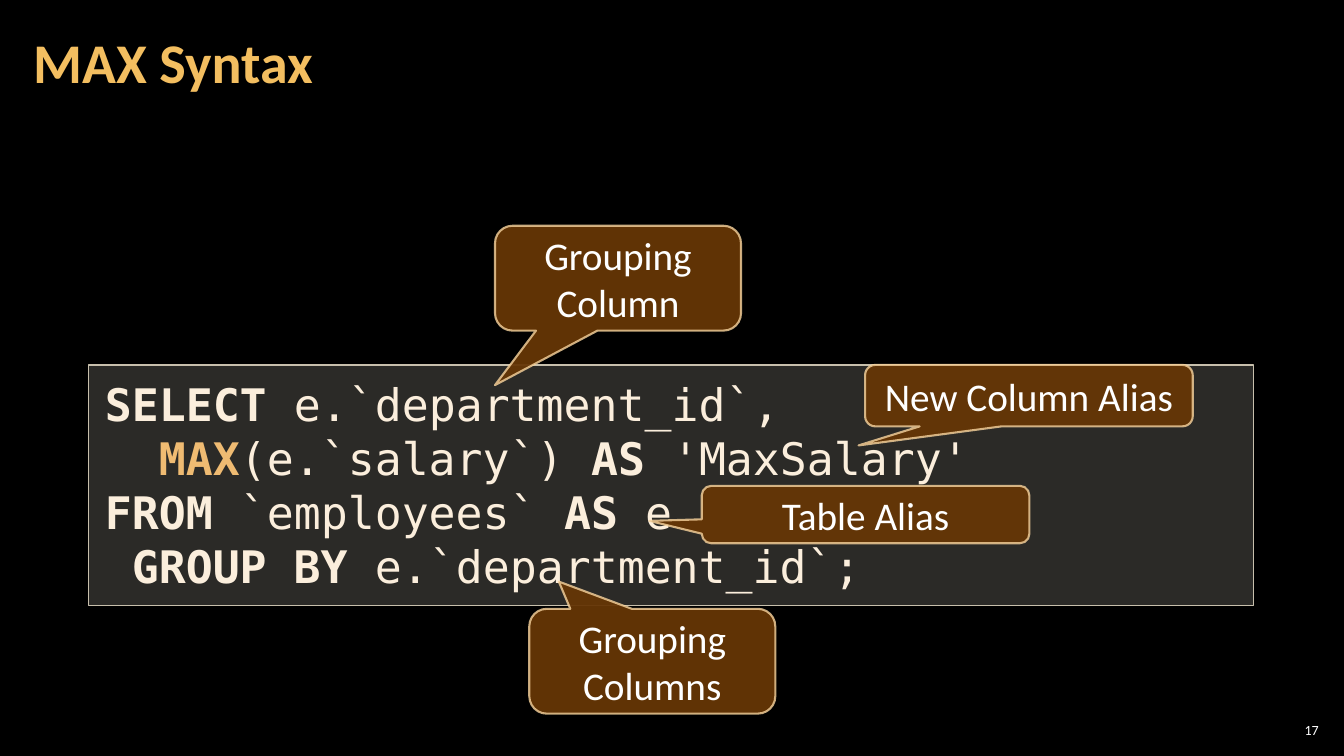
from lxml.etree import SubElement
from pptx import Presentation
from pptx.dml.color import RGBColor
from pptx.enum.shapes import MSO_SHAPE as SHAPE
from pptx.enum.text import MSO_ANCHOR as ANCHOR, PP_ALIGN as ALIGN
from pptx.oxml.ns import qn
from pptx.util import Inches, Pt

CREAM = "FBEEDC"
AMBER = "EFBB72"


def rgb(value):
    return RGBColor.from_string(value)


def paint(shape, fill, fill_opacity, line, line_width, line_opacity=100):
    """Set fill and outline, with opacities in percent."""
    shape.shadow.inherit = False
    shape.fill.solid()
    shape.fill.fore_color.rgb = rgb(fill)
    shape.line.color.rgb = rgb(line)
    shape.line.width = Pt(line_width)
    colors = shape._element.spPr.iter(qn("a:srgbClr"))
    for color, opacity in zip(list(colors), (fill_opacity, line_opacity)):
        if opacity < 100:
            SubElement(color, qn("a:alpha")).set("val", str(opacity * 1000))


prs = Presentation()
prs.slide_width, prs.slide_height = Inches(13.33), Inches(7.5)
slide = prs.slides.add_slide(prs.slide_layouts[6])
slide.background.fill.solid()
slide.background.fill.fore_color.rgb = rgb("000000")

# SQL statement: each paragraph is a list of lines, each line a list of (text, bold, color)
query = [
    [
        [("SELECT ", True, CREAM), ("e.`department_id`,", False, CREAM)],
        [("  ", False, CREAM), ("MAX", True, AMBER), ("(e.`salary`) ", False, CREAM),
         ("AS", True, CREAM), (" 'MaxSalary'", False, CREAM)],
    ],
    [[("FROM ", True, CREAM), ("`employees` ", False, CREAM),
      ("AS", True, CREAM), (" e", False, CREAM)]],
    [[(" GROUP BY ", True, CREAM), ("e.`department_id`;", False, CREAM)]],
]
code_box = slide.shapes.add_shape(
    SHAPE.RECTANGLE, Inches(0.88), Inches(3.62), Inches(11.55), Inches(2.39))
paint(code_box, "D9D5C7", 20, "C7BFAC", 1)
code = code_box.text_frame
code.word_wrap = True
code.vertical_anchor = ANCHOR.TOP
code.margin_left = code.margin_right = Inches(0.16)
code.margin_top = code.margin_bottom = Inches(0.12)
for i, statement in enumerate(query):
    paragraph = code.add_paragraph() if i else code.paragraphs[0]
    paragraph.alignment = ALIGN.LEFT
    paragraph.font.name = "DejaVu Sans Mono"
    paragraph.font.size = Pt(32)
    for j, line in enumerate(statement):
        if j:
            paragraph.add_line_break()
        for text, bold, color in line:
            run = paragraph.add_run()
            run.text = text
            run.font.bold = bold
            run.font.color.rgb = rgb(color)

# Slide number and title: text, box, side margin, size, color, bold, alignment, line spacing
labels = [
    ("17", (12.65, 7.14, 0.47, 0.21), 0.04, 10, "FFFFFF", False, ALIGN.RIGHT, 1.0),
    ("MAX Syntax", (0.21, 0.04, 10.47, 1.21), 0.12, 40, "F3BE60", True, ALIGN.LEFT, 0.9),
]
for text, box, margin, size, color, bold, alignment, spacing in labels:
    frame = slide.shapes.add_textbox(*map(Inches, box)).text_frame
    frame.word_wrap = True
    frame.vertical_anchor = ANCHOR.MIDDLE
    frame.margin_left = frame.margin_right = Inches(margin)
    frame.margin_top = frame.margin_bottom = Inches(0.04)
    paragraph = frame.paragraphs[0]
    paragraph.text = text
    paragraph.alignment = alignment
    paragraph.line_spacing = spacing
    paragraph.font.name = "Calibri"
    paragraph.font.size = Pt(size)
    paragraph.font.bold = bold
    paragraph.font.color.rgb = rgb(color)

# Callouts: text, box, pointer tip relative to the centre
callouts = [
    ("Grouping Column", (4.91, 2.24, 2.44, 1.04), (-0.5, 1.02)),
    ("Grouping Columns", (5.25, 6.04, 2.44, 1.04), (-0.38, -0.76)),
    ("Table Alias", (6.96, 4.82, 3.25, 0.57), (-0.66, 0.11)),
    ("New Column Alias", (8.58, 3.62, 3.25, 0.61), (-0.52, 0.81)),
]
for text, box, tip in callouts:
    callout = slide.shapes.add_shape(SHAPE.ROUNDED_RECTANGULAR_CALLOUT, *map(Inches, box))
    callout.adjustments[0], callout.adjustments[1] = tip
    paint(callout, "663606", 95, "F8D49E", 1.5, 80)
    callout.text_frame.word_wrap = True
    callout.text_frame.vertical_anchor = ANCHOR.MIDDLE
    paragraph = callout.text_frame.paragraphs[0]
    paragraph.text = text
    paragraph.alignment = ALIGN.CENTER
    paragraph.font.name = "Calibri"
    paragraph.font.size = Pt(28)
    paragraph.font.color.rgb = rgb("FFFFFF")

prs.save("out.pptx")
